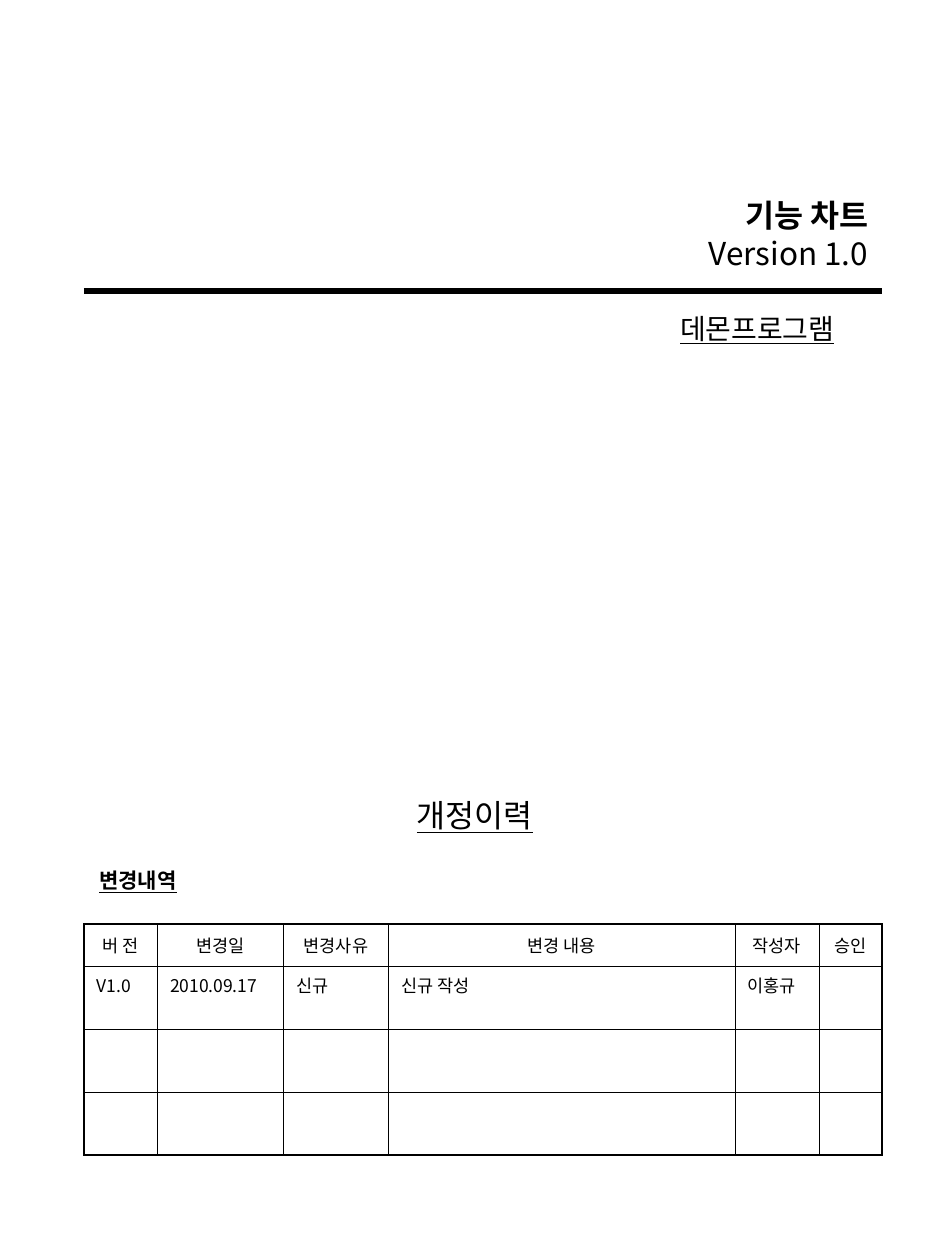
from dataclasses import dataclass

from lxml import etree
from pptx import Presentation
from pptx.dml.color import RGBColor
from pptx.enum.shapes import MSO_CONNECTOR, MSO_SHAPE
from pptx.enum.text import MSO_ANCHOR, MSO_AUTO_SIZE, PP_ALIGN
from pptx.oxml.ns import qn
from pptx.util import Pt

FONT = "Noto Sans CJK KR"
BLACK, WHITE = "000000", "FFFFFF"
LEFT, CENTER, RIGHT = PP_ALIGN.LEFT, PP_ALIGN.CENTER, PP_ALIGN.RIGHT
MIDDLE, TOP = MSO_ANCHOR.MIDDLE, MSO_ANCHOR.TOP
STRAIGHT, RECTANGLE = MSO_CONNECTOR.STRAIGHT, MSO_SHAPE.RECTANGLE
FIT_SHAPE = MSO_AUTO_SIZE.SHAPE_TO_FIT_TEXT

MARGIN_LEFT, MARGIN_RIGHT = 48, 504
TABLE_TOP = 528
COLUMN_WIDTHS = [42, 72, 60, 198, 48, 36]
ROW_HEIGHTS = [24, 36, 36, 36]
OUTER_LINE, INNER_LINE = 1.08, 0.45
REVISIONS = [
    ["버 전", "변경일", "변경사유", "변경 내용", "작성자", "승인"],
    ["V1.0", "2010.09.17", "신규", "신규 작성", "이홍규", ""],
    [""] * 6,
    [""] * 6,
]


@dataclass
class Line:
    text: str
    size: float
    bold: bool = False
    underline: bool = False
    align: PP_ALIGN = LEFT
    spacing: float = 1.0
    space_before: float = 0


@dataclass
class Label:
    left: float
    top: float
    width: float
    height: float
    lines: list[Line]
    wrap: bool = False


LABELS = [
    Label(102.24, 95.76, 401.04, 63.36, [
        Line("기능 차트", 18, bold=True, align=RIGHT, spacing=1.6),
        Line("Version 1.0", 18, align=RIGHT),
    ], wrap=True),
    Label(231.12, 451.44, 80.64, 28.8, [Line("개정이력", 18, underline=True)]),
    Label(49.68, 492.48, 58.32, 21.6,
          [Line("변경내역", 12, bold=True, underline=True)]),
    Label(381.6, 174.24, 102.24, 26.64,
          [Line("데몬프로그램", 16, underline=True, align=RIGHT)]),
]


def color(value: str) -> RGBColor:
    return RGBColor.from_string(value)


def write_line(paragraph, line: Line) -> None:
    paragraph.text = line.text
    paragraph.alignment = line.align
    paragraph.line_spacing = line.spacing
    paragraph.space_before = Pt(line.space_before)
    font = paragraph.font
    font.name = FONT
    font.size = Pt(line.size)
    font.bold = line.bold
    font.underline = line.underline
    font.color.rgb = color(BLACK)
    defaults = paragraph._p.pPr.find(qn("a:defRPr"))
    etree.SubElement(defaults, qn("a:ea"), typeface=FONT)


def add_label(slide, label: Label) -> None:
    shape = slide.shapes.add_textbox(
        Pt(label.left), Pt(label.top), Pt(label.width), Pt(label.height))
    frame = shape.text_frame
    frame.word_wrap = label.wrap
    frame.auto_size = FIT_SHAPE
    for index, line in enumerate(label.lines):
        paragraph = frame.add_paragraph() if index else frame.paragraphs[0]
        write_line(paragraph, line)


def add_rule(slide, top: float) -> None:
    rule = slide.shapes.add_connector(
        STRAIGHT, Pt(MARGIN_LEFT), Pt(top), Pt(MARGIN_RIGHT), Pt(top))
    rule.line.color.rgb = color(BLACK)
    rule.line.width = Pt(3)
    etree.SubElement(rule._element.spPr, qn("a:effectLst"))


def add_header_area(slide) -> None:
    shape = slide.shapes.add_shape(RECTANGLE, Pt(30), Pt(24), Pt(486), Pt(72))
    shape.shadow.inherit = False
    shape.fill.solid()
    shape.fill.fore_color.rgb = color(WHITE)
    shape.line.color.rgb = color(WHITE)
    shape.line.width = Pt(0.75)


def set_borders(cell, outer_sides: dict[str, bool]) -> None:
    """Draw each side heavy where it lies on the table's edge."""
    properties = cell._tc.get_or_add_tcPr()
    for index, (side, is_outer) in enumerate(outer_sides.items()):
        width = Pt(OUTER_LINE if is_outer else INNER_LINE)
        border = etree.Element(qn(f"a:ln{side}"), w=str(int(width)))
        fill = etree.SubElement(border, qn("a:solidFill"))
        etree.SubElement(fill, qn("a:srgbClr"), val=BLACK)
        properties.insert(index, border)


def add_revision_table(slide) -> None:
    last_row, last_column = len(ROW_HEIGHTS) - 1, len(COLUMN_WIDTHS) - 1
    table = slide.shapes.add_table(
        len(ROW_HEIGHTS), len(COLUMN_WIDTHS), Pt(MARGIN_LEFT), Pt(TABLE_TOP),
        Pt(sum(COLUMN_WIDTHS)), Pt(sum(ROW_HEIGHTS))).table
    table.first_row = table.horz_banding = False
    for column, width in zip(table.columns, COLUMN_WIDTHS):
        column.width = Pt(width)
    for row, height in zip(table.rows, ROW_HEIGHTS):
        row.height = Pt(height)
    for r, texts in enumerate(REVISIONS):
        for c, text in enumerate(texts):
            cell = table.cell(r, c)
            cell.fill.background()
            cell.vertical_anchor = TOP if r else MIDDLE
            write_line(cell.text_frame.paragraphs[0],
                       Line(text, 10, align=LEFT if r else CENTER,
                            space_before=2.5))
            set_borders(cell, {"L": c == 0, "R": c == last_column,
                               "T": r == 0, "B": r == last_row})


def main() -> None:
    presentation = Presentation()
    presentation.slide_width, presentation.slide_height = Pt(540), Pt(720)
    slide = presentation.slides.add_slide(presentation.slide_layouts[6])
    add_header_area(slide)
    add_rule(slide, 166.32)
    for label in LABELS:
        add_label(slide, label)
    add_revision_table(slide)
    presentation.save("out.pptx")


if __name__ == "__main__":
    main()
